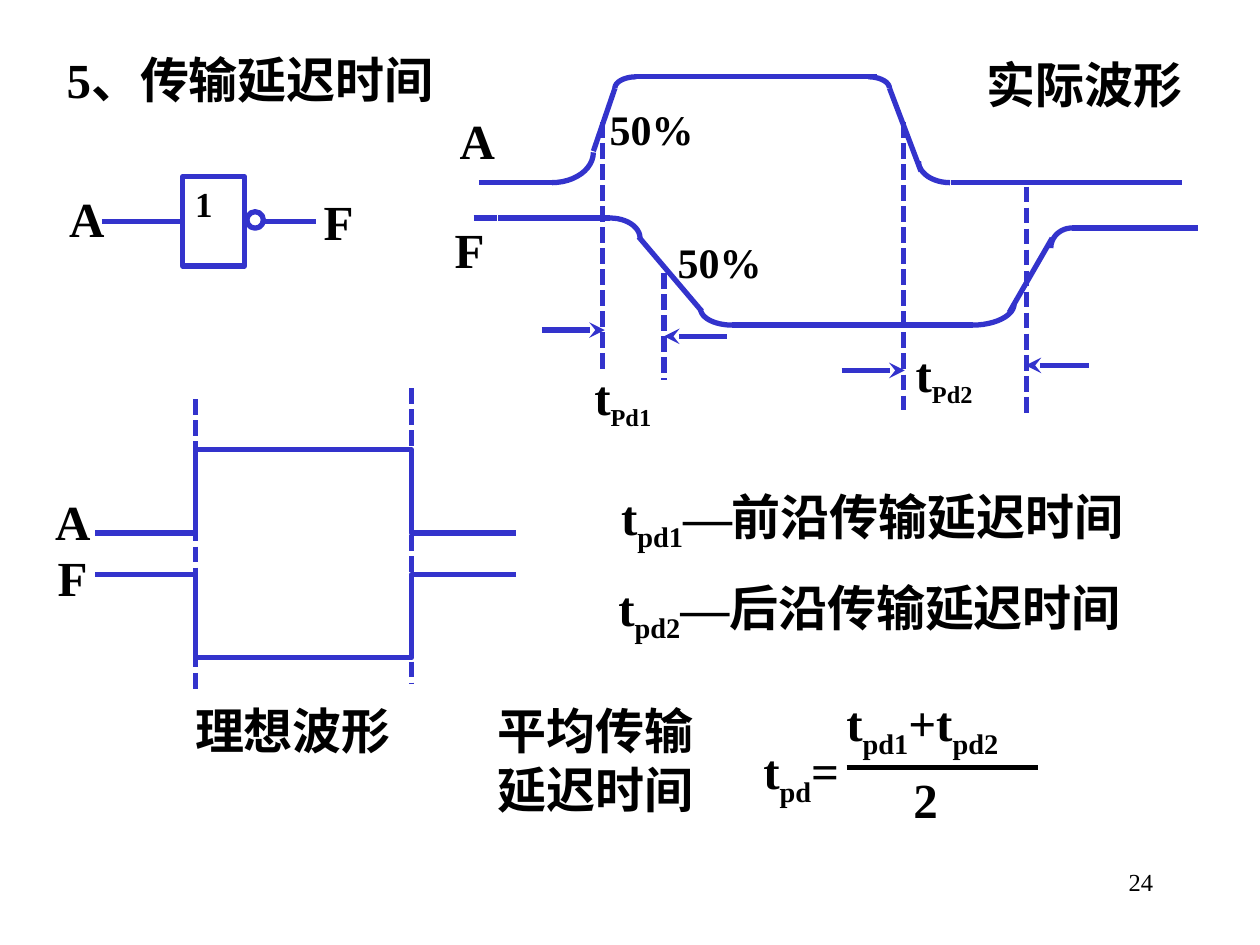
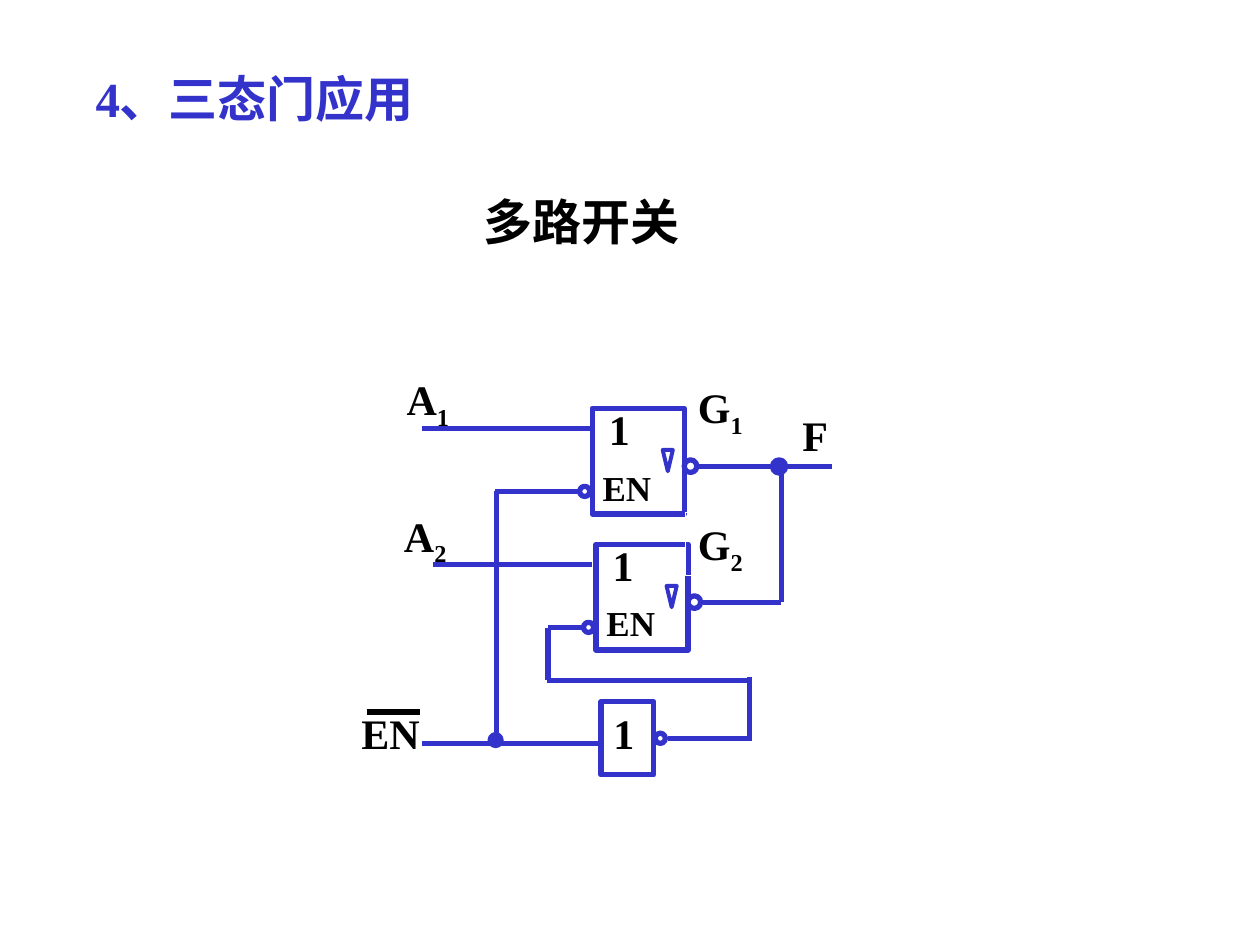
from math import cos, pi, sin

from lxml import etree
from pptx import Presentation
from pptx.dml.color import RGBColor
from pptx.enum.dml import MSO_LINE
from pptx.enum.shapes import MSO_CONNECTOR, MSO_SHAPE
from pptx.enum.text import MSO_ANCHOR, PP_ALIGN
from pptx.oxml.ns import qn
from pptx.util import Pt

FONT = "Times New Roman"
BLUE, BLACK, WHITE = "3333CC", "000000", "FFFFFF"
LEFT_SIDE = 1


def color(value):
    return RGBColor.from_string(value)


class Sketch:
    def __init__(self, deck):
        self.deck = deck
        self.shapes = None

    def new_page(self):
        page = self.deck.slides.add_slide(self.deck.slide_layouts[6])
        self.shapes = page.shapes

    def label(self, left, top, width, height, *parts, size=28, sub_size=None, tint=BLACK,
              bold=True, align=PP_ALIGN.LEFT, anchor=MSO_ANCHOR.TOP, wrap=True, edge=0):
        box = self.shapes.add_textbox(Pt(left), Pt(top), Pt(width), Pt(height))
        if edge:
            box.line.color.rgb = color(WHITE)
            box.line.width = Pt(edge)
        frame = box.text_frame
        frame.word_wrap = wrap
        frame.vertical_anchor = anchor
        para = frame.paragraphs[0]
        para.alignment = align
        for part in parts:
            lowered = part.startswith("_")
            span = para.add_run()
            span.text = part.lstrip("_")
            span.font.name = FONT
            span.font.size = Pt(sub_size if lowered and sub_size else size)
            span.font.bold = bold
            span.font.color.rgb = color(tint)
            if lowered:
                span.font._element.set("baseline", "-25000")

    def title(self, left, top, width, height, text, tint=BLACK):
        self.label(left, top, width, height, text, tint=tint, anchor=MSO_ANCHOR.MIDDLE)

    def symbol(self, left, top, width, height, text, size=24):
        self.label(left, top, width, height, text, size=size, align=PP_ALIGN.CENTER,
                   anchor=MSO_ANCHOR.MIDDLE, wrap=False)

    def wire(self, x1, y1, x2, y2, tint=BLUE, dotted=False, arrow=False):
        wire = self.shapes.add_connector(MSO_CONNECTOR.STRAIGHT, Pt(x1), Pt(y1), Pt(x2), Pt(y2))
        wire.line.color.rgb = color(tint)
        wire.line.width = Pt(3)
        if dotted:
            wire.line.dash_style = MSO_LINE.SQUARE_DOT
        properties = wire._element.spPr
        if arrow:
            etree.SubElement(properties.find(qn("a:ln")), qn("a:tailEnd"), type="stealth")
        etree.SubElement(properties, qn("a:effectLst"))
        return wire

    def outline(self, kind, left, top, width, height, weight=3, filled=False):
        shape = self.shapes.add_shape(kind, Pt(left), Pt(top), Pt(width), Pt(height))
        self.finish(shape, weight, filled)
        return shape

    def block(self, left, top, width, height):
        return self.outline(MSO_SHAPE.RECTANGLE, left, top, width, height)

    def bubble(self, left, top, size, filled=False):
        self.outline(MSO_SHAPE.OVAL, left, top, size, size, filled=filled)

    def trace(self, points):
        points = [(Pt(x), Pt(y)) for x, y in points]
        builder = self.shapes.build_freeform(*points[0], scale=1.0)
        builder.add_line_segments(points[1:], close=False)
        self.finish(builder.convert_to_shape())

    def bend(self, flat_x, flat_y, steep_x, steep_y, steps=12):
        angles = [pi / 2 * step / steps for step in range(steps + 1)]
        self.trace([(flat_x + (steep_x - flat_x) * sin(angle),
                     steep_y + (flat_y - steep_y) * cos(angle)) for angle in angles])

    def finish(self, shape, weight=3, filled=False):
        shape.shadow.inherit = False
        if filled:
            shape.fill.solid()
            shape.fill.fore_color.rgb = color(BLUE)
        else:
            shape.fill.background()
        shape.line.color.rgb = color(BLUE)
        shape.line.width = Pt(weight)

    def three_state_gate(self, left, top):
        self.block(left, top, 52.6, 60.5)
        self.symbol(left + 2.2, top - 6.5, 26.6, 36, "1")
        marker = self.outline(MSO_SHAPE.ISOSCELES_TRIANGLE, left + 40.3, top + 23.8, 5.8, 12.2, 2.25)
        marker.rotation = 180
        self.symbol(left - 1.4, top + 29.5, 42.5, 31, "EN", size=20)
        self.bubble(left + 52.6, top + 29.5, 7.2)
        self.bubble(left - 7.2, top + 44.6, 5.8)


def draw_real_waveforms(sketch):
    for segment in [
        (273.6, 104.4, 315.4, 104.4), (339.1, 86.4, 351.4, 50.4), (363.6, 43.9, 501.1, 43.9),
        (508.3, 50.4, 526.3, 97.9), (543.6, 104.4, 675.4, 104.4),
        (270.7, 124.6, 348.5, 124.6), (365, 135.4, 401, 177.8), (418.3, 185.8, 555.8, 185.8),
        (576.7, 178.6, 601.2, 136.1), (612.7, 130.3, 684.7, 130.3),
    ]:
        sketch.wire(*segment)
    for corner in [
        (315.4, 104.4, 339.1, 87.1), (363.6, 43.9, 351.4, 50.4),
        (496.1, 43.9, 508.3, 50.4), (542.9, 104.4, 524.9, 92.2),
        (348.5, 124.6, 365.8, 136.1), (418.3, 185.8, 400.3, 176.4),
        (555.8, 185.8, 579.6, 173.5), (612.7, 130.3, 600.5, 141.8),
    ]:
        sketch.bend(*corner)
    sketch.label(255.6, 59.8, 34.6, 41, "A", wrap=False, edge=0.75)
    sketch.label(252.7, 121.7, 31.7, 41, "F", wrap=False, edge=0.75)
    sketch.label(556.6, 27.4, 144, 41, "实际波形", edge=3)


def draw_delays(sketch):
    sketch.label(332.6, 205.9, 72, 41, "t", "_Pd1", sub_size=24, edge=0.75)
    sketch.label(516.2, 193, 72, 41, "t", "_Pd2", sub_size=24, edge=0.75)
    for x, top, bottom in [(344.2, 69.8, 213.1), (379.4, 156.2, 217.4),
                           (516.2, 69.8, 234), (586.8, 106.6, 238.3)]:
        sketch.wire(x, top, x, bottom, dotted=True)
    for tip, y, length in [(345.6, 188.6, 36), (379.4, 192.2, -36),
                           (517, 211.7, 36), (586.1, 208.8, -36)]:
        sketch.wire(tip - length, y, tip, y, arrow=True)
    for left, top in [(341.3, 55.4), (380.2, 131.8)]:
        sketch.label(left, top, 84.2, 36, "50%", size=24)


def draw_ideal_waveforms(sketch):
    start, rise, fall, end = 54.4, 111.6, 235.2, 295
    for base, pulse in [(304.6, 257), (328.3, 375.8)]:
        sketch.trace([(start, base), (rise, base), (rise, pulse),
                      (fall, pulse), (fall, base), (end, base)])
    sketch.label(24.5, 277.2, 54.7, 41, "A")
    sketch.label(25.9, 309.6, 54.7, 41, "F")
    sketch.wire(rise, 228.2, rise, 398.2, dotted=True)
    sketch.wire(fall, 221.8, fall, 391, dotted=True)
    sketch.label(104.4, 396.7, 144, 41, "理想波形", edge=3)


def draw_formulas(sketch):
    sketch.label(347.8, 274.3, 317.5, 41, "t", "_pd1", "—前沿传输延迟时间", edge=3)
    sketch.label(346.3, 326.2, 317.5, 41, "t", "_pd2", "—后沿传输延迟时间", edge=3)
    sketch.label(277.2, 396.7, 151.9, 74.2, "平均传输延迟时间", edge=3)
    sketch.label(429.1, 419.8, 76.3, 41, "t", "_pd", "=", edge=3)
    sketch.wire(483.8, 438.5, 593.3, 438.5, tint=BLACK)
    sketch.label(476.6, 392.4, 119.5, 41, "t", "_pd1", "+t", "_pd2", edge=3)
    sketch.label(514.8, 436.3, 47.5, 41, "2")


def draw_inverter(sketch):
    gate = sketch.block(104.4, 101, 35.3, 51)
    sketch.bubble(141.1, 121, 9.4)
    feed = sketch.wire(58.3, 126.5, 104.4, 126.5)
    feed.end_connect(gate, LEFT_SIDE)
    sketch.wire(150.5, 126.5, 180.7, 126.5)
    sketch.label(177.8, 105.8, 49, 41, "F")
    sketch.label(32.4, 104.4, 49, 41, "A")
    sketch.label(104.4, 100.8, 29.5, 31, "1", size=20)


def build_delay_page(sketch):
    sketch.new_page()
    sketch.title(31, 25.2, 229, 39.6, "5、传输延迟时间")
    draw_real_waveforms(sketch)
    draw_ideal_waveforms(sketch)
    draw_delays(sketch)
    draw_formulas(sketch)
    draw_inverter(sketch)
    sketch.label(516.2, 491.8, 149.8, 36, "24", size=14, bold=False, align=PP_ALIGN.RIGHT)


def build_switch_page(sketch):
    sketch.new_page()
    sketch.title(47.5, 37.4, 244.1, 36.7, "4、三态门应用", tint=BLUE)
    sketch.label(269.3, 105.8, 167, 41, "多路开关", edge=3)
    sketch.label(199.4, 401, 47.5, 36, "EN", size=24, wrap=False, edge=0.75)
    sketch.wire(209.5, 406.8, 239.8, 406.8, tint=BLACK)
    for left, top, width, number in [(211.7, 210, 65.5, "_1"), (223.2, 288, 39.6, "_2")]:
        sketch.label(left, top, width, 36, "A", number, size=24,
                     align=PP_ALIGN.CENTER, wrap=False)
    sketch.symbol(451.4, 230.4, 28.8, 36, "F")
    sketch.three_state_gate(338.4, 233.3)
    sketch.three_state_gate(340.6, 311)
    sketch.block(343.4, 401, 30.2, 41.8)
    sketch.label(343.4, 401, 26.6, 36, "1", size=24, wrap=False)
    sketch.bubble(374.4, 419, 5.8)
    for segment in [
        (241.2, 244.8, 337.7, 244.8), (247.7, 322.6, 338.4, 322.6),
        (241.2, 424.8, 343.4, 424.8), (283.7, 280.8, 283.7, 424.8),
        (283, 280.8, 330.5, 280.8), (313.2, 358.6, 332.6, 358.6),
        (313.2, 358.6, 313.2, 388.8), (312.5, 388.8, 427, 388.8),
        (428.4, 386.6, 428.4, 422.6), (381.6, 421.9, 429.8, 421.9),
        (401.8, 344.2, 446.4, 344.2), (446.4, 344.2, 446.4, 263.5),
        (396.7, 266.4, 475.2, 266.4),
    ]:
        sketch.wire(*segment)
    sketch.bubble(280.1, 419.8, 6.2, filled=True)
    sketch.bubble(441.4, 262.8, 7.5, filled=True)
    sketch.label(391.7, 214.6, 41, 36, "G", "_1", size=24)
    sketch.label(391.7, 293, 41, 36, "G", "_2", size=24, edge=0.75)


def main():
    deck = Presentation()
    deck.slide_width, deck.slide_height = Pt(720), Pt(540)
    sketch = Sketch(deck)
    build_delay_page(sketch)
    build_switch_page(sketch)
    deck.save("out.pptx")


if __name__ == "__main__":
    main()
